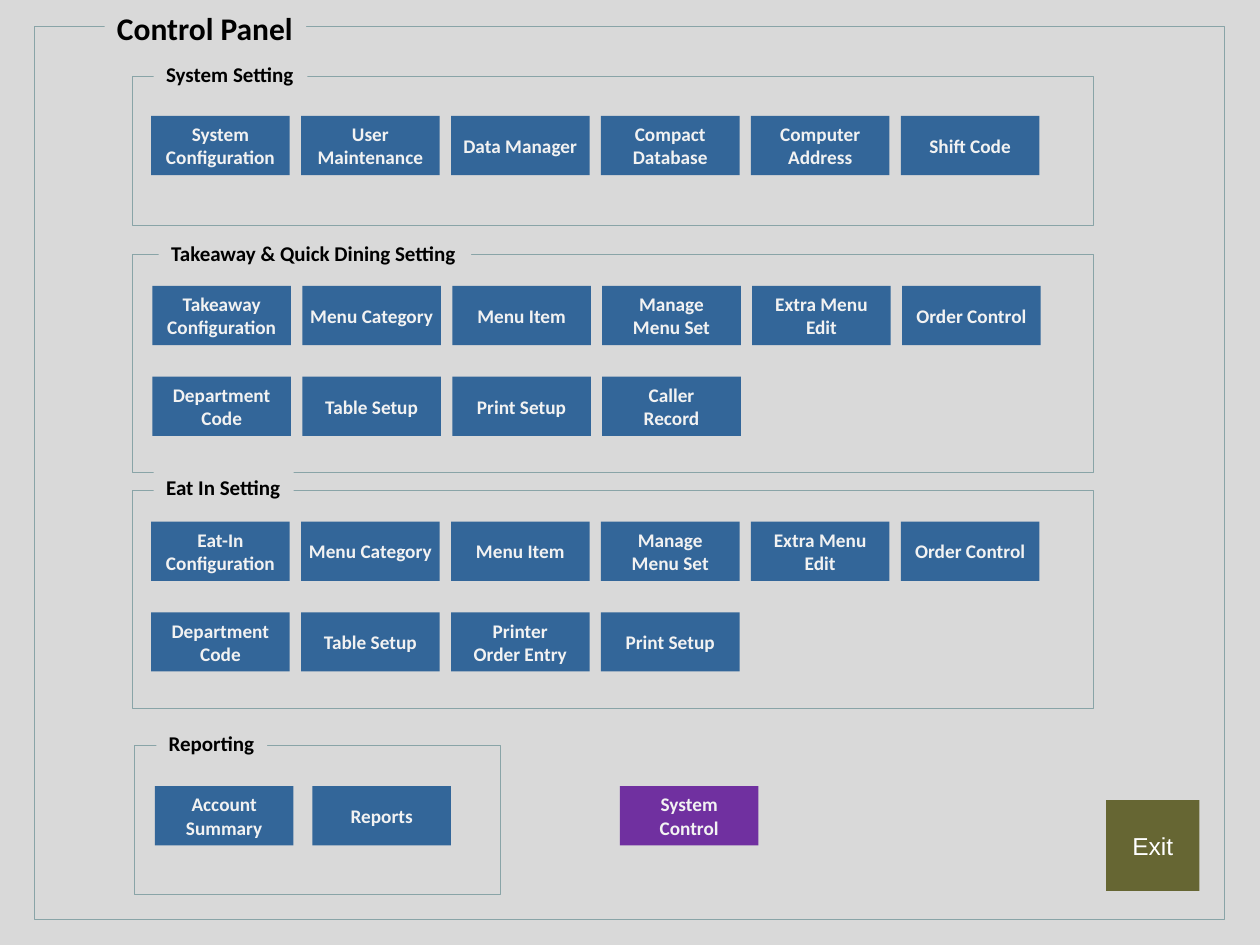
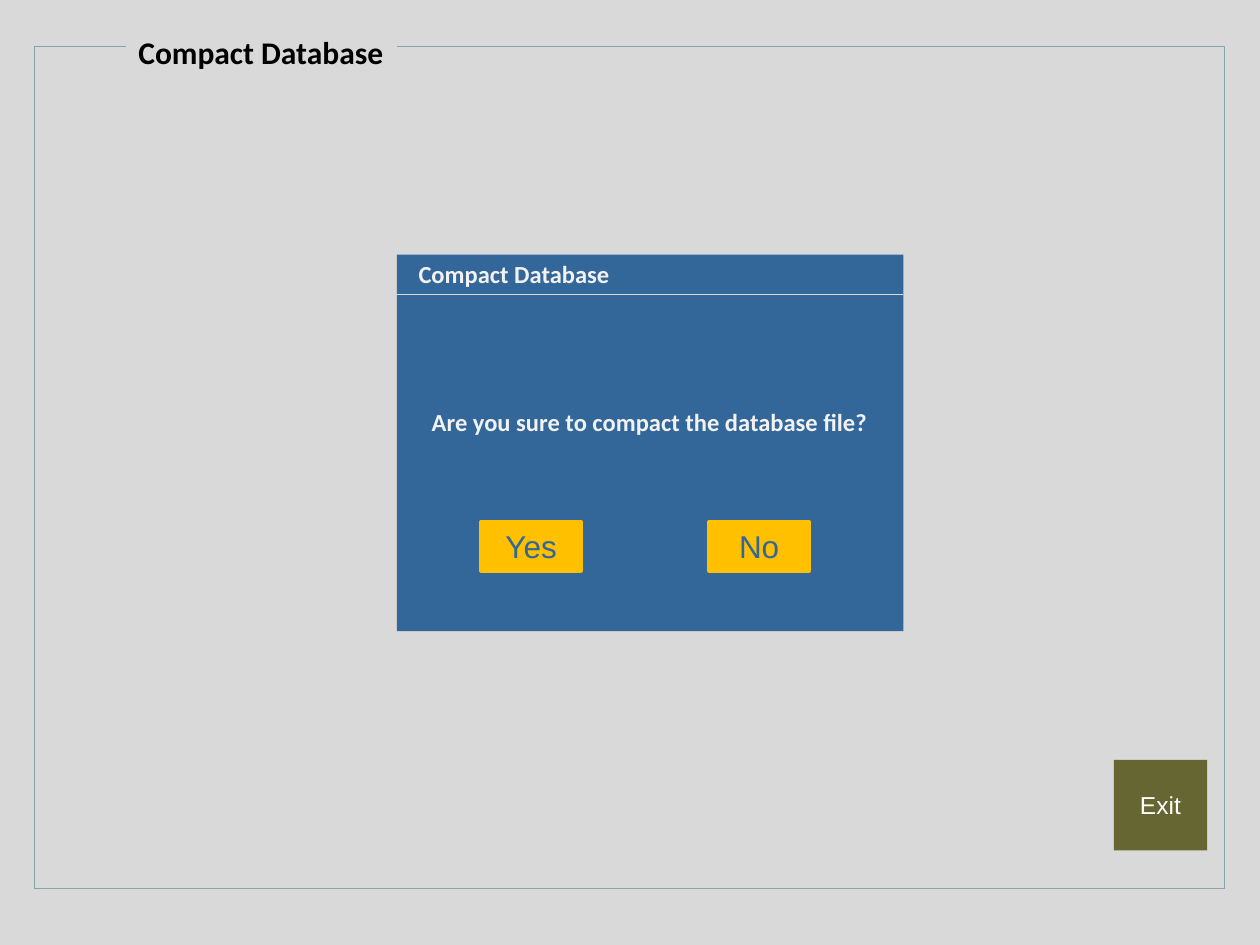
from dataclasses import dataclass
from typing import Optional

import pptx
import pptx.dml.color
import pptx.enum.shapes
import pptx.enum.text
import pptx.oxml
import pptx.oxml.ns
import pptx.presentation
import pptx.shapes.autoshape
import pptx.slide
import pptx.util
from pptx.util import Inches

ALIGN = pptx.enum.text.PP_ALIGN
ANCHOR = pptx.enum.text.MSO_ANCHOR


@dataclass(frozen=True)
class TextStyle:
    font: str
    size: int
    color: str
    bold: bool = False


@dataclass(frozen=True)
class Theme:
    background: str = "D9D9D9"
    frame: str = "89A4A7"
    button: str = "336699"
    control: str = "7030A0"
    exit: str = "666633"
    answer: str = "FFC000"
    screen_title: TextStyle = TextStyle("Calibri", 18, "000000", True)
    panel_title: TextStyle = TextStyle("Calibri", 12, "000000", True)
    button_text: TextStyle = TextStyle("Calibri", 11, "F2F2F2", True)
    dialog_text: TextStyle = TextStyle("Calibri", 14, "F2F2F2", True)
    exit_text: TextStyle = TextStyle("Arial", 14, "FFFFFF")
    answer_text: TextStyle = TextStyle("Arial", 18, "336699")


THEME = Theme()


@dataclass(frozen=True)
class Box:
    """Position and size in inches."""
    left: float
    top: float
    width: float
    height: float

    def emu(self) -> tuple:
        return tuple(Inches(v) for v in (self.left, self.top, self.width, self.height))


@dataclass(frozen=True)
class Panel:
    title: str
    frame: Box
    caption: Box
    first_button: tuple[float, float]
    rows: tuple[tuple[str, ...], ...]
    pitch: float = 1.19


BUTTON_W, BUTTON_H, ROW_PITCH = 1.1, 0.47, 0.72

PANELS = (
    Panel("System Setting", Box(1.05, 0.61, 7.63, 1.18), Box(1.22, 0.44, 1.22, 0.3), (1.2, 0.92),
          (("System\nConfiguration", "User\nMaintenance", "Data Manager",
            "Compact\nDatabase", "Computer\nAddress", "Shift Code"),)),
    Panel("Takeaway & Quick Dining Setting", Box(1.05, 2.02, 7.63, 1.73),
          Box(1.26, 1.86, 2.48, 0.3), (1.21, 2.27),
          (("Takeaway\nConfiguration", "Menu Category", "Menu Item",
            "Manage\nMenu Set", "Extra Menu\nEdit", "Order Control"),
           ("Department\nCode", "Table Setup", "Print Setup", "Caller\nRecord"))),
    Panel("Eat In Setting", Box(1.05, 3.89, 7.63, 1.73), Box(1.22, 3.72, 1.11, 0.3), (1.2, 4.14),
          (("Eat-In\nConfiguration", "Menu Category", "Menu Item",
            "Manage\nMenu Set", "Extra Menu\nEdit", "Order Control"),
           ("Department\nCode", "Table Setup", "Printer\nOrder Entry", "Print Setup"))),
    Panel("Reporting", Box(1.07, 5.92, 2.9, 1.18), Box(1.24, 5.75, 0.88, 0.3), (1.23, 6.24),
          (("Account\nSummary", "Reports"),), pitch=1.25),
)


def rgb(color: str) -> pptx.dml.color.RGBColor:
    return pptx.dml.color.RGBColor.from_string(color)


def add_rect(s: pptx.slide.Slide, box: Box, fill: Optional[str] = None,
             line: Optional[str] = None, line_pt: float = 0.5) -> pptx.shapes.autoshape.Shape:
    sp = s.shapes.add_shape(pptx.enum.shapes.MSO_SHAPE.RECTANGLE, *box.emu())
    sp.shadow.inherit = False
    if fill:
        sp.fill.solid()
        sp.fill.fore_color.rgb = rgb(fill)
    else:
        sp.fill.background()
    if line:
        sp.line.color.rgb = rgb(line)
        sp.line.width = pptx.util.Pt(line_pt)
    else:
        sp.line.fill.background()
    return sp


def write(sp: pptx.shapes.autoshape.Shape, text: str, style: TextStyle,
          align: ALIGN = ALIGN.CENTER, anchor: ANCHOR = ANCHOR.MIDDLE, grow: bool = False) -> None:
    """Fill a shape with text, one paragraph per line."""
    tf = sp.text_frame
    tf.text = text
    tf.word_wrap = False
    tf.vertical_anchor = anchor
    if grow:
        tf.auto_size = pptx.enum.text.MSO_AUTO_SIZE.SHAPE_TO_FIT_TEXT
    for p in tf.paragraphs:
        p.alignment = align
        p.font.name = style.font
        p.font.size = pptx.util.Pt(style.size)
        p.font.bold = style.bold
        p.font.color.rgb = rgb(style.color)


def add_button(s: pptx.slide.Slide, text: str, box: Box, fill: str = THEME.button,
               style: TextStyle = THEME.button_text) -> None:
    write(add_rect(s, box, fill), text, style)


def add_titled_frame(s: pptx.slide.Slide, title: str, frame: Box, caption: Box,
                     style: TextStyle) -> None:
    """Draw an outline whose top edge is interrupted by its caption."""
    add_rect(s, frame, line=THEME.frame)
    write(add_rect(s, caption, THEME.background), title, style,
          ALIGN.LEFT, ANCHOR.TOP, grow=True)


def add_panel(s: pptx.slide.Slide, panel: Panel) -> None:
    add_titled_frame(s, panel.title, panel.frame, panel.caption, THEME.panel_title)
    left, top = panel.first_button
    for row, labels in enumerate(panel.rows):
        for col, label in enumerate(labels):
            add_button(s, label, Box(left + col * panel.pitch, top + row * ROW_PITCH,
                                     BUTTON_W, BUTTON_H))


def add_label(s: pptx.slide.Slide, text: str, box: Box) -> None:
    sp = s.shapes.add_textbox(*box.emu())
    write(sp, text, THEME.dialog_text, anchor=ANCHOR.TOP, grow=True)


def add_rule(s: pptx.slide.Slide, left: float, right: float, y: float) -> None:
    cxn = s.shapes.add_connector(pptx.enum.shapes.MSO_CONNECTOR.STRAIGHT,
                                 Inches(left), Inches(y), Inches(right), Inches(y))
    cxn.line.color.rgb = rgb(THEME.background)
    cxn.line.width = pptx.util.Pt(0.75)
    effects = pptx.oxml.parse_xml(f"<a:effectLst {pptx.oxml.ns.nsdecls('a')}/>")
    cxn._element.spPr.append(effects)


def add_screen(prs: pptx.presentation.Presentation, title: str, frame: Box, caption: Box,
               exit_at: tuple[float, float]) -> pptx.slide.Slide:
    """Add a slide with the background, titled frame and Exit button."""
    s = prs.slides.add_slide(prs.slide_layouts[6])
    add_rect(s, Box(0, 0, 10, 7.5), THEME.background)
    add_titled_frame(s, title, frame, caption, THEME.screen_title)
    add_button(s, "Exit", Box(*exit_at, 0.74, 0.72), THEME.exit, THEME.exit_text)
    return s


def build_control_panel(prs: pptx.presentation.Presentation) -> None:
    s = add_screen(prs, "Control Panel", Box(0.27, 0.21, 9.45, 7.09),
                   Box(0.83, 0.02, 1.6, 0.4), (8.78, 6.35))
    for panel in PANELS:
        add_panel(s, panel)
    add_button(s, "System\nControl", Box(4.92, 6.24, BUTTON_W, BUTTON_H), THEME.control)


def build_compact_database(prs: pptx.presentation.Presentation) -> None:
    title = "Compact Database"
    s = add_screen(prs, title, Box(0.27, 0.37, 9.45, 6.68),
                   Box(1, 0.21, 2.15, 0.4), (8.84, 6.03))
    add_rect(s, Box(3.15, 2.02, 4.02, 2.99), THEME.button)
    add_label(s, title, Box(3.22, 2.01, 1.72, 0.34))
    add_rule(s, 3.03, 7.17, 2.34)
    add_label(s, "Are you sure to compact the database file?", Box(3.32, 3.18, 3.67, 0.34))
    for answer, left in (("Yes", 3.82), ("No", 5.63)):
        sp = add_rect(s, Box(left, 4.14, 0.79, 0.39), THEME.answer, THEME.answer, 2.25)
        write(sp, answer, THEME.answer_text)


def main() -> None:
    prs = pptx.Presentation()
    prs.slide_width, prs.slide_height = Inches(10), Inches(7.5)
    build_control_panel(prs)
    build_compact_database(prs)
    prs.save("out.pptx")


if __name__ == "__main__":
    main()
